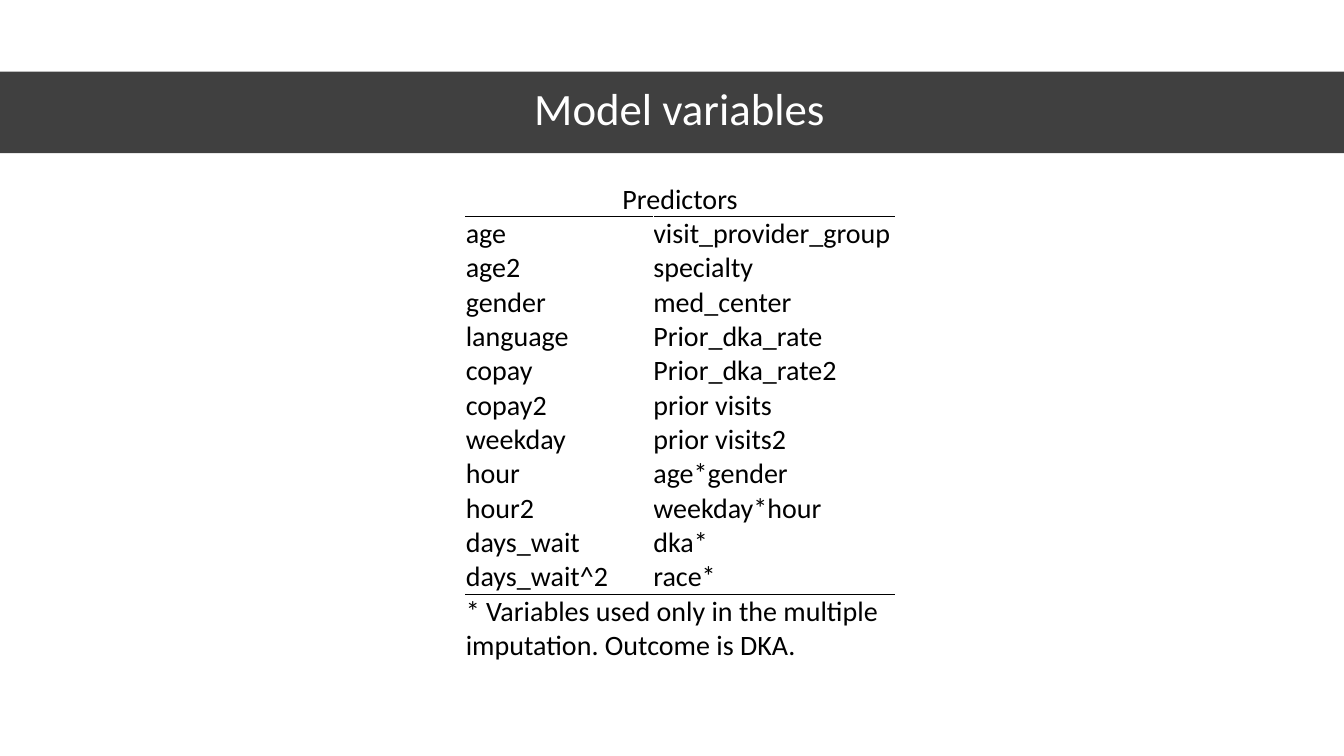
import pptx
import pptx.dml.color
import pptx.enum.shapes
import pptx.enum.text
import pptx.oxml
import pptx.oxml.ns
import pptx.util

ALIGN = pptx.enum.text.PP_ALIGN
ANCHOR = pptx.enum.text.MSO_ANCHOR
EMU_PER_PX = 9144  # 100 px to the inch
BLACK, WHITE = "000000", "FFFFFF"


def px(length):
    return pptx.util.Emu(length * EMU_PER_PX)


def colour(value):
    return pptx.dml.color.RGBColor.from_string(value)


def apply(target, values):
    for name, value in values.items():
        setattr(target, name, value)


def box(left, top, width, height):
    return dict(left=px(left), top=px(top), width=px(width), height=px(height))


class SlideBuilder:
    font = "Calibri"

    def __init__(self, slide):
        self.slide = slide

    def label(self, frame, text, size, ink, align):
        frame.text = text
        paragraph = frame.paragraphs[0]
        paragraph.alignment = align
        run_font = paragraph.runs[0].font
        apply(run_font, dict(name=self.font, size=pptx.util.Pt(size), bold=False))
        run_font.color.rgb = colour(ink)
        return paragraph

    def band(self, place, fill, opacity):
        band = self.slide.shapes.add_shape(
            pptx.enum.shapes.MSO_SHAPE.RECTANGLE, **place)
        band.shadow.inherit = False
        band.fill.solid()
        band.fill.fore_color.rgb = colour(fill)
        band.line.fill.background()
        tint = band._element.spPr.find(".//" + pptx.oxml.ns.qn("a:srgbClr"))
        alpha = pptx.oxml.parse_xml(
            f'<a:alpha {pptx.oxml.ns.nsdecls("a")} val="{opacity * 1000}"/>')
        tint.append(alpha)
        # Keep the band behind the title
        self.slide.shapes._spTree.insert(2, band._element)

    def title(self, text, place):
        heading = self.slide.shapes.title
        apply(heading, place)
        paragraph = self.label(heading.text_frame, text, 32, WHITE, ALIGN.CENTER)
        paragraph.line_spacing = 0.9
        apply(heading.text_frame, dict(
            vertical_anchor=ANCHOR.MIDDLE, word_wrap=True,
            auto_size=pptx.enum.text.MSO_AUTO_SIZE.NONE))

    def borders(self, cell, top, bottom):
        properties = cell._tc.get_or_add_tcPr()
        sides = dict(L=WHITE, R=WHITE, T=top, B=bottom)
        for position, (side, ink) in enumerate(sides.items()):
            properties.insert(position, pptx.oxml.parse_xml(
                f'<a:ln{side} {pptx.oxml.ns.nsdecls("a")} w="12700"><a:solidFill>'
                f'<a:srgbClr val="{ink}"/></a:solidFill></a:ln{side}>'))

    def table(self, rows, place, widths, heights, ruled_rows):
        grid = self.slide.shapes.add_table(len(rows), len(widths), **place).table
        apply(grid, dict(first_row=False, horz_banding=False))
        for column, width in zip(grid.columns, widths):
            column.width = px(width)
        for index, (row, height, texts) in enumerate(zip(grid.rows, heights, rows)):
            row.height = px(height)
            top = BLACK if index - 1 in ruled_rows else WHITE
            bottom = BLACK if index in ruled_rows else WHITE
            for cell in row.cells:
                apply(cell, dict(margin_left=0, margin_right=0, margin_top=0,
                                 margin_bottom=0, vertical_anchor=ANCHOR.BOTTOM))
                cell.fill.background()
                self.borders(cell, top, bottom)
            if len(texts) == 1:
                grid.cell(index, 0).merge(grid.cell(index, len(widths) - 1))
            for cell, text in zip(row.cells, texts):
                align = ALIGN.CENTER if index == 0 else ALIGN.LEFT
                self.label(cell.text_frame, text, 20, BLACK, align)


PREDICTORS = [
    ("age", "visit_provider_group"),
    ("age2", "specialty"),
    ("gender", "med_center"),
    ("language", "Prior_dka_rate"),
    ("copay", "Prior_dka_rate2"),
    ("copay2", "prior visits"),
    ("weekday", "prior visits2"),
    ("hour", "age*gender"),
    ("hour2", "weekday*hour"),
    ("days_wait", "dka*"),
    ("days_wait^2", "race*"),
]
FOOTNOTE = "* Variables used only in the multiple imputation. Outcome is DKA."


def main():
    deck = pptx.Presentation()
    apply(deck, dict(slide_width=px(1333), slide_height=px(750)))
    builder = SlideBuilder(deck.slides.add_slide(deck.slide_layouts[5]))

    # Heading on its dark band
    builder.band(box(0, 71, 1333, 81), BLACK, 75)
    builder.title("Model variables", box(61, 70, 1226, 81))

    # Predictors, ruled below the header and above the footnote
    rows = [("Predictors",), *PREDICTORS, (FOOTNOTE,)]
    heights = [32] * (len(rows) - 1) + [57]
    builder.table(rows, box(462, 181, 425, 467), [186, 239], heights,
                  ruled_rows=(0, len(PREDICTORS)))

    deck.save("out.pptx")


if __name__ == "__main__":
    main()
